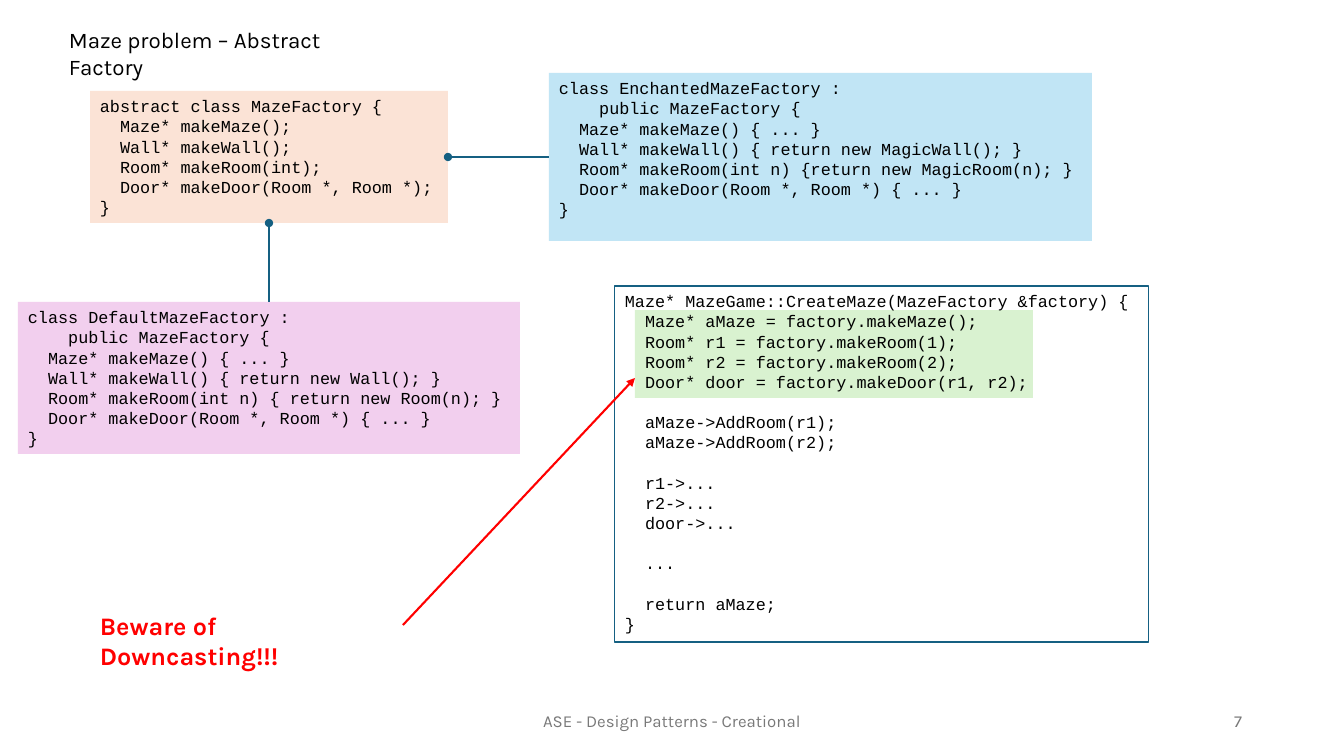
from dataclasses import dataclass
from typing import Optional

from lxml import etree
from pptx import Presentation
from pptx import util as u
from pptx.dml.color import RGBColor
from pptx.enum import shapes, text
from pptx.oxml.ns import qn

EMU_PER_PX = 914400 / 100.8
CODE_LINE_PT = 14.4
BLACK, GREY, RED, TEAL = "000000", "797979", "FF0000", "156082"


@dataclass(frozen=True)
class Panel:
    left: int
    top: int
    width: int
    height: int
    code: str = ""
    fill: Optional[str] = None
    border: Optional[str] = None


@dataclass(frozen=True)
class Label:
    left: int
    top: int
    width: int
    height: int
    words: str
    size: int
    color: str
    bold: bool = False
    align: text.PP_ALIGN = text.PP_ALIGN.LEFT
    anchor: text.MSO_ANCHOR = text.MSO_ANCHOR.TOP


@dataclass(frozen=True)
class Link:
    start: tuple[int, int]
    end: tuple[int, int]
    color: str
    tip: str


MAZE_FACTORY = """abstract class MazeFactory {
  Maze* makeMaze();
  Wall* makeWall();
  Room* makeRoom(int);
  Door* makeDoor(Room *, Room *);
}"""

ENCHANTED_FACTORY = """class EnchantedMazeFactory :
    public MazeFactory {
  Maze* makeMaze() { ... }
  Wall* makeWall() { return new MagicWall(); }
  Room* makeRoom(int n) {return new MagicRoom(n); }
  Door* makeDoor(Room *, Room *) { ... }
}"""

DEFAULT_FACTORY = """class DefaultMazeFactory :
    public MazeFactory {
  Maze* makeMaze() { ... }
  Wall* makeWall() { return new Wall(); }
  Room* makeRoom(int n) { return new Room(n); }
  Door* makeDoor(Room *, Room *) { ... }
}"""

CREATE_MAZE = """Maze* MazeGame::CreateMaze(MazeFactory &factory) {
  Maze* aMaze = factory.makeMaze();
  Room* r1 = factory.makeRoom(1);
  Room* r2 = factory.makeRoom(2);
  Door* door = factory.makeDoor(r1, r2);

  aMaze->AddRoom(r1);
  aMaze->AddRoom(r2);

  r1->...
  r2->...
  door->...

  ...

  return aMaze;
}"""

PANELS = [
    Panel(90, 91, 358, 132, MAZE_FACTORY, fill="FBE3D6"),
    Panel(549, 73, 543, 168, ENCHANTED_FACTORY, fill="C1E5F5"),
    Panel(635, 310, 398, 88, fill="D9F2D0"),
    Panel(615, 286, 534, 356, CREATE_MAZE, border=TEAL),
    Panel(18, 302, 502, 152, DEFAULT_FACTORY, fill="F2CFEE"),
]
LABELS = [
    Label(445, 701, 454, 40, "ASE - Design Patterns - Creational", 12, GREY,
          align=text.PP_ALIGN.CENTER, anchor=text.MSO_ANCHOR.MIDDLE),
    Label(949, 701, 303, 40, "7", 12, GREY,
          align=text.PP_ALIGN.RIGHT, anchor=text.MSO_ANCHOR.MIDDLE),
    Label(59, 21, 338, 37, "Maze problem – Abstract Factory", 16, BLACK),
    Label(90, 605, 312, 40, "Beware of Downcasting!!!", 18, RED, bold=True),
]
LINKS = [
    Link((549, 157), (448, 157), TEAL, "oval"),
    Link((269, 302), (269, 223), TEAL, "oval"),
    Link((403, 625), (635, 378), RED, "triangle"),
]


def px(*lengths: int) -> list[u.Emu]:
    return [u.Emu(round(length * EMU_PER_PX)) for length in lengths]


def rgb(color: str) -> RGBColor:
    return RGBColor.from_string(color)


def style_font(font, **formats) -> None:
    for name, value in formats.items():
        setattr(font, name, value)


def write_code(frame, code: str) -> None:
    """Write one paragraph per code line; a blank line becomes space before the next."""
    frame.word_wrap = True
    frame.vertical_anchor = text.MSO_ANCHOR.TOP
    for block_index, block in enumerate(code.split("\n\n")):
        for line_index, code_line in enumerate(block.split("\n")):
            first = block_index == line_index == 0
            paragraph = frame.paragraphs[0] if first else frame.add_paragraph()
            paragraph.alignment = text.PP_ALIGN.LEFT
            if block_index and not line_index:
                paragraph.space_before = u.Pt(CODE_LINE_PT)
            statement = paragraph.add_run()
            statement.text = code_line
            style_font(statement.font, name="Courier New", size=u.Pt(12))
            statement.font.color.rgb = rgb(BLACK)


def draw_panel(slide, panel: Panel) -> None:
    box = slide.shapes.add_shape(
        shapes.MSO_SHAPE.RECTANGLE,
        *px(panel.left, panel.top, panel.width, panel.height))
    box.shadow.inherit = False
    if panel.fill:
        box.fill.solid()
        box.fill.fore_color.rgb = rgb(panel.fill)
    else:
        box.fill.background()
    if panel.border:
        box.line.color.rgb = rgb(panel.border)
        box.line.width = u.Pt(0.75)
    else:
        box.line.fill.background()
    if panel.code:
        write_code(box.text_frame, panel.code)


def draw_label(slide, label: Label) -> None:
    frame = slide.shapes.add_textbox(
        *px(label.left, label.top, label.width, label.height)).text_frame
    frame.word_wrap = True
    frame.vertical_anchor = label.anchor
    paragraph = frame.paragraphs[0]
    paragraph.alignment = label.align
    wording = paragraph.add_run()
    wording.text = label.words
    style_font(wording.font, name="Karla", size=u.Pt(label.size), bold=label.bold)
    wording.font.color.rgb = rgb(label.color)


def draw_link(slide, link: Link) -> None:
    connector = slide.shapes.add_connector(
        shapes.MSO_CONNECTOR.STRAIGHT, *px(*link.start, *link.end))
    connector.line.color.rgb = rgb(link.color)
    connector.line.width = u.Pt(1.5)
    properties = connector.element.spPr
    etree.SubElement(properties.find(qn("a:ln")), qn("a:tailEnd"), type=link.tip)
    etree.SubElement(properties, qn("a:effectLst"))


def main() -> None:
    deck = Presentation()
    deck.slide_width, deck.slide_height = px(1344, 756)
    slide = deck.slides.add_slide(deck.slide_layouts[6])
    for panel in PANELS:
        draw_panel(slide, panel)
    for link in LINKS:
        draw_link(slide, link)
    for label in LABELS:
        draw_label(slide, label)
    deck.save("out.pptx")


if __name__ == "__main__":
    main()
